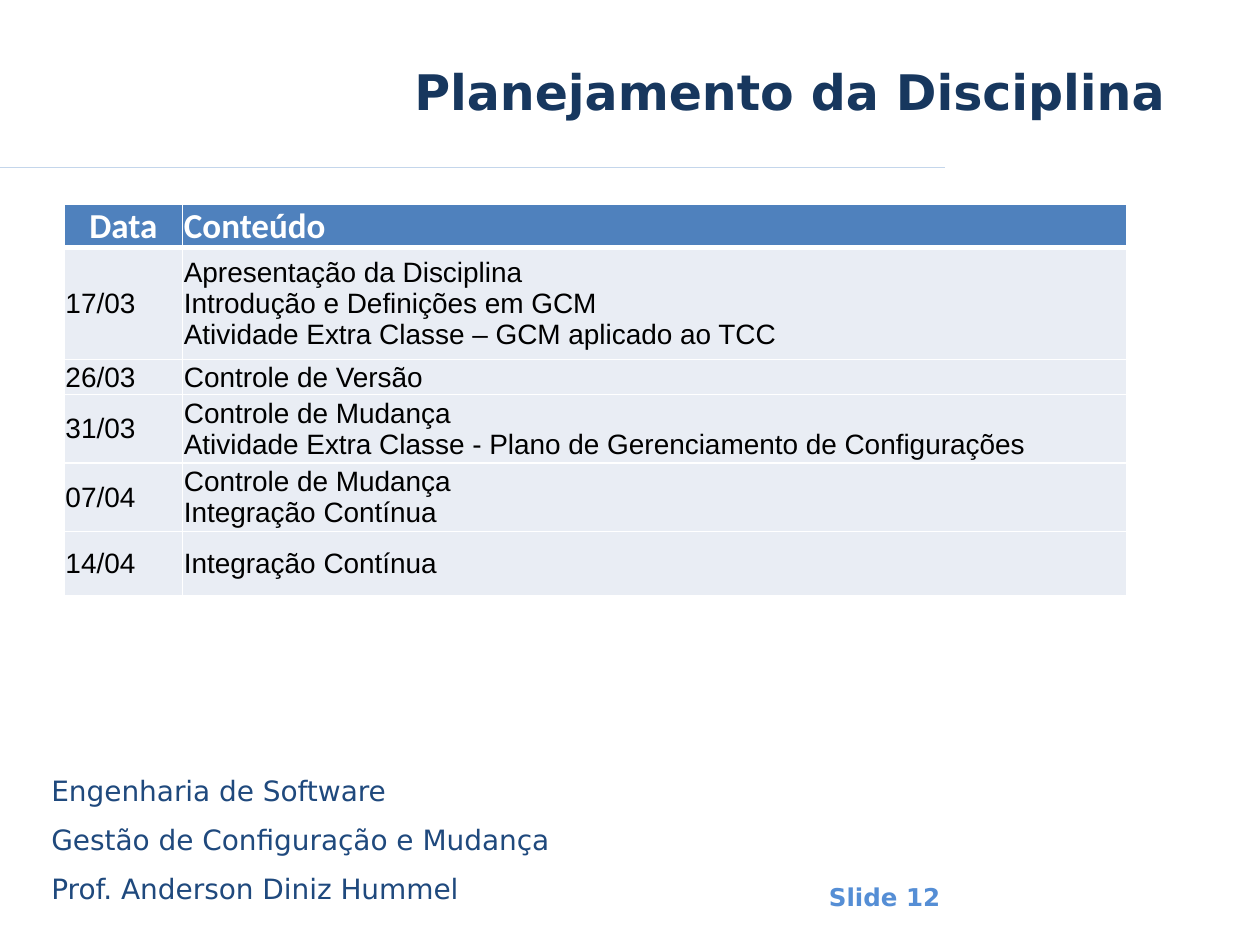
from dataclasses import dataclass

from lxml.etree import SubElement
from pptx import Presentation
from pptx.dml.color import RGBColor
from pptx.enum.shapes import MSO_CONNECTOR
from pptx.enum.text import MSO_ANCHOR, PP_ALIGN
from pptx.oxml import parse_xml
from pptx.oxml.ns import nsdecls, qn
from pptx.util import Inches, Pt


@dataclass(frozen=True)
class Theme:
    title: str = "17375E"
    footer: str = "1F497D"
    number: str = "558ED5"
    rule: str = "C4D6EB"
    header: str = "4F81BD"
    band: str = "E9EDF4"
    white: str = "FFFFFF"
    black: str = "000000"
    title_size: int = 28
    header_size: int = 20
    body_size: int = 16
    number_size: int = 14
    display_font: str = "DejaVu Sans"
    header_font: str = "Calibri"
    body_font: str = "Arial"


theme = Theme()


def set_font(para, name, size, color, bold=False):
    para.font.name = name
    para.font.size = Pt(size)
    para.font.bold = bold
    para.font.color.rgb = RGBColor.from_string(color)


def add_label(left, top, width, height, text, size, color, bold=False):
    box = slide.shapes.add_textbox(Inches(left), Inches(top), Inches(width), Inches(height))
    box.text_frame.word_wrap = True
    para = box.text_frame.paragraphs[0]
    para.text = text
    set_font(para, theme.display_font, size, color, bold)


deck = Presentation()
deck.slide_width, deck.slide_height = Inches(10), Inches(7.5)
slide = deck.slides.add_slide(deck.slide_layouts[6])

rule = slide.shapes.add_connector(
    MSO_CONNECTOR.STRAIGHT, Inches(0), Inches(1.33), Inches(7.5), Inches(1.33)
)
rule.line.color.rgb = RGBColor.from_string(theme.rule)
rule.line.width = Pt(0.75)
SubElement(rule._element.spPr, qn("a:effectLst"))

add_label(6.48, 6.95, 1.41, 0.34, "Slide 12", theme.number_size, theme.number, True)
footer_lines = [
    "Engenharia de Software",
    "Gestão de Configuração e Mudança",
    "Prof. Anderson Diniz Hummel",
]
for index, line in enumerate(footer_lines):
    add_label(0.31, 6.09 + 0.39 * index, 5.47, 0.39, line, theme.body_size, theme.footer)
add_label(3.19, 0.44, 6.69, 0.55, "Planejamento da Disciplina",
          theme.title_size, theme.title, True)

schedule = [
    ("Data", "Conteúdo"),
    ("17/03", "Apresentação da Disciplina\nIntrodução e Definições em GCM\n"
              "Atividade Extra Classe – GCM aplicado ao TCC"),
    ("26/03", "Controle de Versão"),
    ("31/03", "Controle de Mudança\n"
              "Atividade Extra Classe - Plano de Gerenciamento de Configurações"),
    ("07/04", "Controle de Mudança\nIntegração Contínua"),
    ("14/04", "Integração Contínua"),
]
column_widths = [0.94, 7.49]
row_heights = [0.28, 0.89, 0.26, 0.45, 0.45, 0.51]
table = slide.shapes.add_table(
    len(schedule), len(column_widths), Inches(0.51), Inches(1.62),
    Inches(sum(column_widths)), Inches(sum(row_heights)),
).table
for column, width in zip(table.columns, column_widths):
    column.width = Inches(width)
for row, height in zip(table.rows, row_heights):
    row.height = Inches(height)

for row_index, entry in enumerate(schedule):
    is_header = row_index == 0
    for column_index, text in enumerate(entry):
        cell = table.cell(row_index, column_index)
        cell.text = text
        cell.margin_left = cell.margin_top = cell.margin_right = Inches(0.01)
        cell.margin_bottom = 0
        cell.vertical_anchor = MSO_ANCHOR.TOP if is_header else MSO_ANCHOR.MIDDLE
        for para in cell.text_frame.paragraphs:
            if is_header:
                set_font(para, theme.header_font, theme.header_size, theme.white, True)
            else:
                set_font(para, theme.body_font, theme.body_size, theme.black)
        for side in ("L", "R", "T", "B"):
            thick = (is_header and side == "B") or (row_index == 1 and side == "T")
            cell._tc.get_or_add_tcPr().append(parse_xml(
                f'<a:ln{side} {nsdecls("a")} w="{Pt(3 if thick else 1)}"><a:solidFill>'
                f'<a:srgbClr val="{theme.white}"/></a:solidFill></a:ln{side}>'
            ))
        cell.fill.solid()
        cell.fill.fore_color.rgb = RGBColor.from_string(
            theme.header if is_header else theme.band
        )
table.cell(0, 0).text_frame.paragraphs[0].alignment = PP_ALIGN.CENTER

deck.save("out.pptx")
